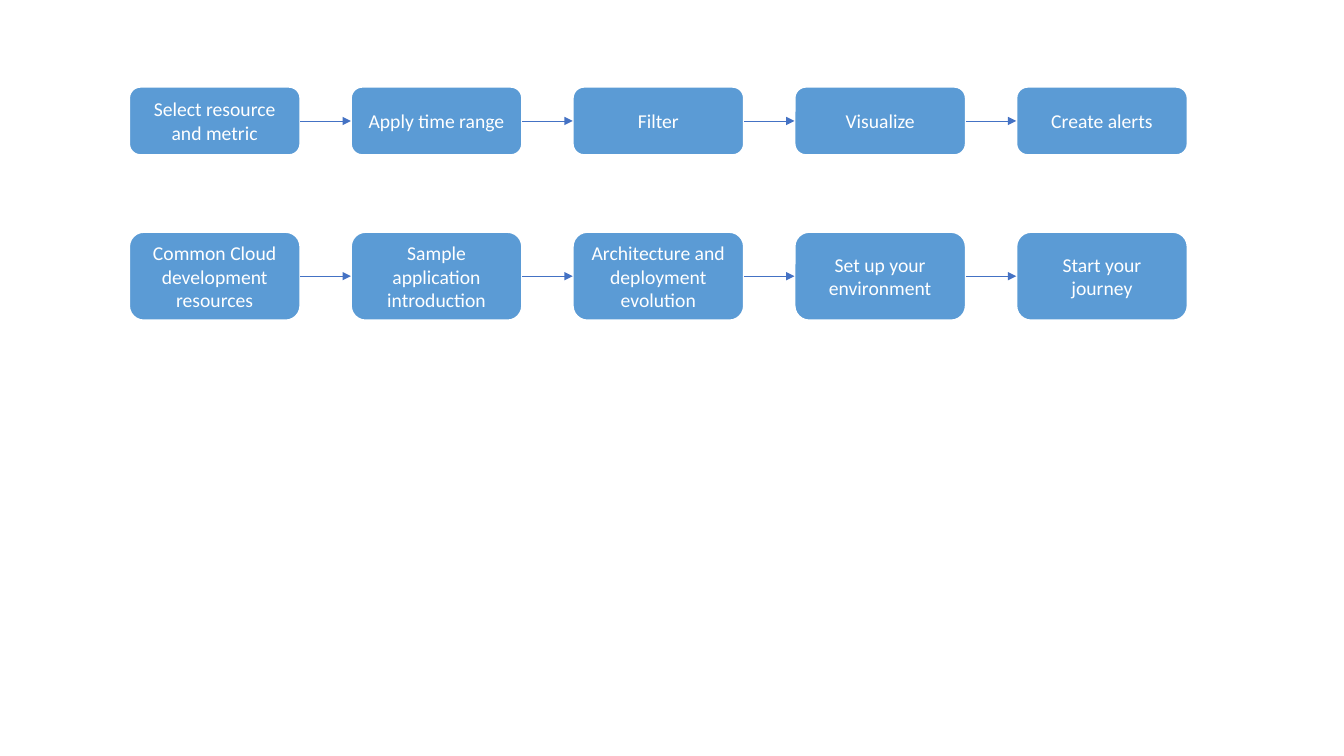
import itertools
from dataclasses import dataclass

import pptx
import pptx.dml.color
import pptx.enum.shapes
import pptx.enum.text
import pptx.oxml.ns
import pptx.shapes.autoshape
import pptx.shapes.connector
import pptx.slide
import pptx.util
from lxml import etree

Inches = pptx.util.Inches
Pt = pptx.util.Pt

WHITE = "FFFFFF"
STEP_FILL = "5B9BD5"
ARROW_LINE = "4472C4"
FONT = "Calibri"

STEP_LEFT = 1.28
STEP_WIDTH = 1.7
STEP_PITCH = 2.2
LEFT_SITE, RIGHT_SITE = 1, 3


@dataclass
class Flow:
    top: float
    height: float
    steps: list[str]


FLOWS = [
    Flow(0.86, 0.68, [
        "Select resource and metric",
        "Apply time range",
        "Filter",
        "Visualize",
        "Create alerts",
    ]),
    Flow(2.3, 0.88, [
        "Common Cloud development resources",
        "Sample application introduction",
        "Architecture and deployment evolution",
        "Set up your environment",
        "Start your journey",
    ]),
]


def color(value: str) -> pptx.dml.color.RGBColor:
    return pptx.dml.color.RGBColor.from_string(value)


def add_step(slide: pptx.slide.Slide, text: str, left: float, top: float,
             height: float) -> pptx.shapes.autoshape.Shape:
    sp = slide.shapes.add_shape(
        pptx.enum.shapes.MSO_SHAPE.ROUNDED_RECTANGLE,
        Inches(left), Inches(top), Inches(STEP_WIDTH), Inches(height))
    sp.shadow.inherit = False
    sp.fill.solid()
    sp.fill.fore_color.rgb = color(STEP_FILL)
    sp.line.color.rgb = color(WHITE)
    sp.line.width = Pt(1.5)
    tf = sp.text_frame
    tf.word_wrap = True
    tf.vertical_anchor = pptx.enum.text.MSO_ANCHOR.MIDDLE
    tf.text = text
    p = tf.paragraphs[0]
    p.alignment = pptx.enum.text.PP_ALIGN.CENTER
    r = p.runs[0]
    r.font.name = FONT
    r.font.size = Pt(14)
    r.font.color.rgb = color(WHITE)
    return sp


def add_arrow(slide: pptx.slide.Slide, start: pptx.shapes.autoshape.Shape,
              end: pptx.shapes.autoshape.Shape) -> pptx.shapes.connector.Connector:
    cxn = slide.shapes.add_connector(
        pptx.enum.shapes.MSO_CONNECTOR.STRAIGHT, 0, 0, 0, 0)
    cxn.begin_connect(start, RIGHT_SITE)
    cxn.end_connect(end, LEFT_SITE)
    cxn.line.color.rgb = color(ARROW_LINE)
    cxn.line.width = Pt(0.5)
    ln = cxn.line._get_or_add_ln()
    etree.SubElement(ln, pptx.oxml.ns.qn("a:tailEnd"), type="triangle")
    etree.SubElement(ln.getparent(), pptx.oxml.ns.qn("a:effectLst"))
    return cxn


def add_flow(slide: pptx.slide.Slide, flow: Flow) -> None:
    steps = [add_step(slide, text, STEP_LEFT + i * STEP_PITCH, flow.top, flow.height)
             for i, text in enumerate(flow.steps)]
    for start, end in itertools.pairwise(steps):
        add_arrow(slide, start, end)


prs = pptx.Presentation()
prs.slide_width = Inches(13.33)
prs.slide_height = Inches(7.5)
s = prs.slides.add_slide(prs.slide_layouts.get_by_name("Blank"))
for flow in FLOWS:
    add_flow(s, flow)
prs.save("out.pptx")
